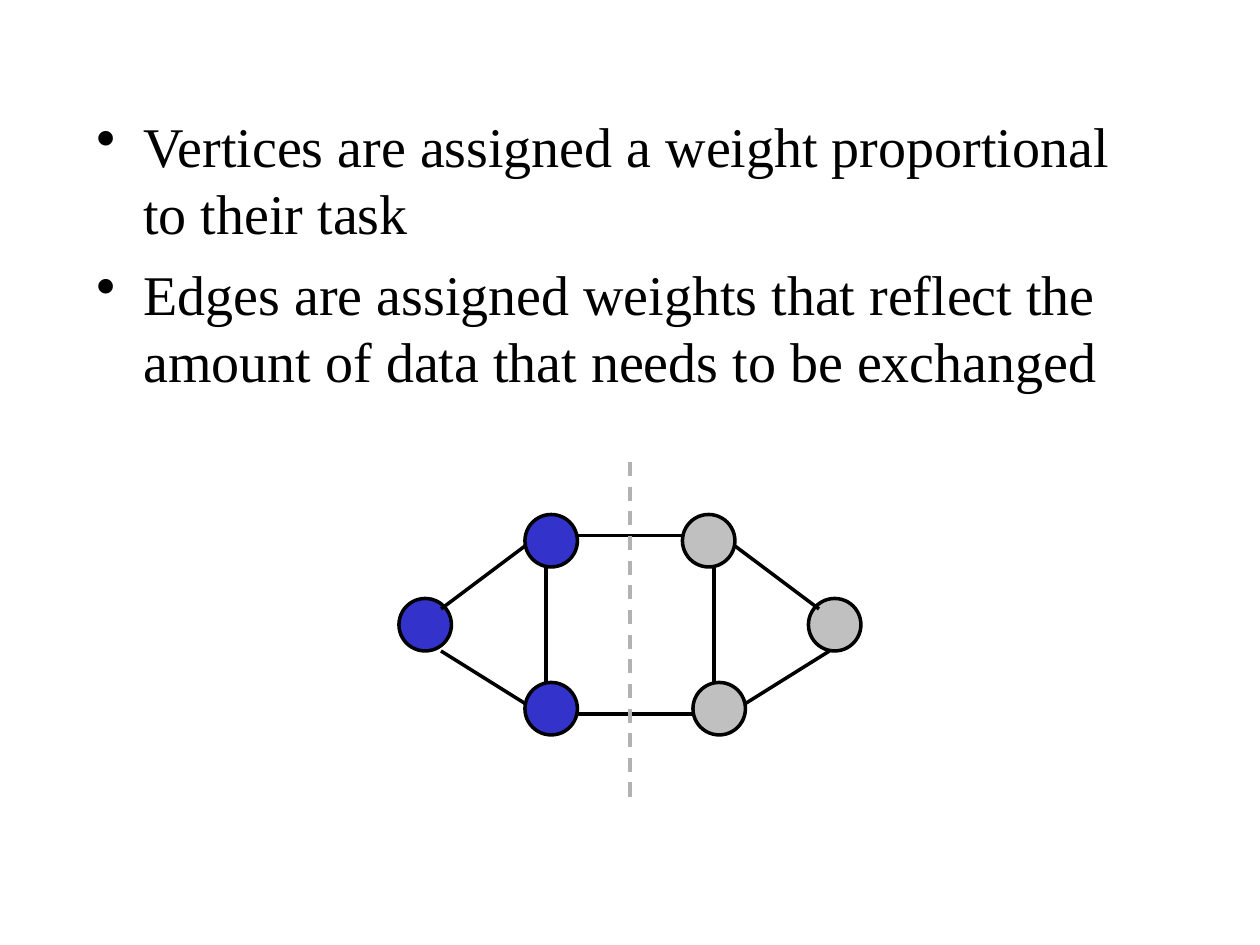
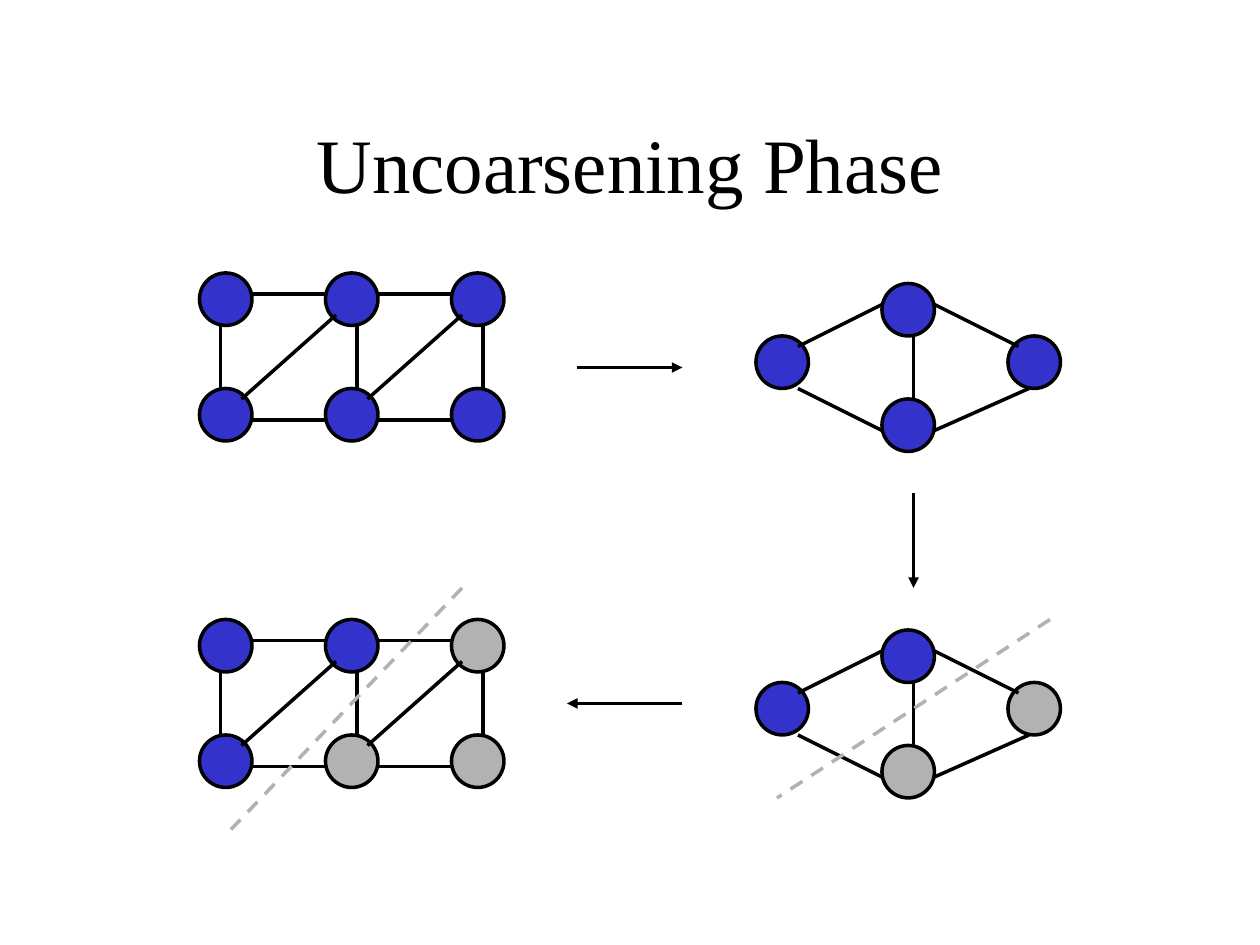
import dataclasses
import lxml.etree
import pptx
import pptx.dml.color
import pptx.enum.dml
import pptx.enum.shapes
import pptx.enum.text
import pptx.oxml
import pptx.oxml.ns
import pptx.util


@dataclasses.dataclass(frozen=True)
class Theme:
    font: str = "Times New Roman"
    title_size: int = 44
    body_size: int = 32
    line_width: int = 2
    ink: str = "000000"
    blue: str = "3333CC"
    silver: str = "C0C0C0"
    gray: str = "B2B2B2"


THEME = Theme()
NODE_SIZE = 5  # grid units
ROW_SHIFT = 33  # from the upper graphs to the lower ones


def grid(units):
    """The drawing sits on a grid of twelve units to 2.54 cm."""
    return pptx.util.Cm(units * 2.54 / 12)


def color(code):
    return pptx.dml.color.RGBColor.from_string(code)


def add_xml(parent, tag, **attributes):
    return lxml.etree.SubElement(parent, pptx.oxml.ns.qn(tag), **attributes)


def write(para, text, *, size, align="LEFT", before=0, bullet=False):
    """Fill one paragraph with text in the given format."""
    para.alignment = getattr(pptx.enum.text.PP_ALIGN, align)
    para.space_before = pptx.util.Pt(before)
    if bullet:
        properties = para._p.get_or_add_pPr()
        indent = pptx.util.Cm(0.95)
        properties.set("marL", str(indent))
        properties.set("indent", str(-indent))
        add_xml(properties, "a:buChar", char="•")
    span = para.add_run()
    span.text = text
    span.font.name = THEME.font
    span.font.size = pptx.util.Pt(size)
    span.font.color.rgb = color(THEME.ink)


class Painter:
    """Holds the style and the slide being drawn."""

    def __init__(self, deck, theme):
        self.deck = deck
        self.theme = theme
        self.slide = None

    def new_slide(self):
        self.slide = self.deck.slides.add_slide(self.deck.slide_layouts[6])

    def text_box(self, left, top, width, height, lines, anchor="TOP", **style):
        box = self.slide.shapes.add_textbox(*map(grid, (left, top, width, height)))
        frame = box.text_frame
        frame.word_wrap = True
        frame.vertical_anchor = getattr(pptx.enum.text.MSO_ANCHOR, anchor)
        for index, line in enumerate(lines):
            para = frame.add_paragraph() if index else frame.paragraphs[0]
            write(para, line, before=8 if index else 0, **style)

    def title(self, text):
        self.text_box(9, 8, 102, 15, [text], anchor="MIDDLE", align="CENTER",
                      size=self.theme.title_size)

    def bullets(self, lines):
        self.text_box(8, 10, 102, 54, lines, bullet=True, size=self.theme.body_size)

    def node(self, shapes, left, top, fill):
        oval = shapes.add_shape(pptx.enum.shapes.MSO_SHAPE.OVAL, grid(left), grid(top),
                                grid(NODE_SIZE), grid(NODE_SIZE))
        oval.shadow.inherit = False
        oval.fill.solid()
        oval.fill.fore_color.rgb = color(fill)
        oval.line.color.rgb = color(self.theme.ink)
        oval.line.width = pptx.util.Pt(self.theme.line_width)

    def line(self, shapes, ends, ink=None, dashed=False, arrow=False):
        connector = shapes.add_connector(pptx.enum.shapes.MSO_CONNECTOR.STRAIGHT,
                                         *map(grid, ends))
        connector.line.color.rgb = color(ink or self.theme.ink)
        connector.line.width = pptx.util.Pt(self.theme.line_width)
        if dashed:
            connector.line.dash_style = pptx.enum.dml.MSO_LINE.DASH
        if arrow:
            add_xml(connector.line._get_or_add_ln(), "a:tailEnd", type="triangle")
        add_xml(connector._element.spPr, "a:effectLst")

    def arrow(self, *ends):
        self.line(self.slide.shapes, ends, arrow=True)

    def graph(self, nodes, edges, fills, origin=(0, 0), cut=None):
        """Draw nodes and edges as one group, with an optional partition line."""
        x, y = origin
        shapes = self.slide.shapes.add_group_shape().shapes
        for (left, top), fill in zip(nodes, fills):
            self.node(shapes, x + left, y + top, fill)
        for x1, y1, x2, y2 in edges:
            self.line(shapes, (x + x1, y + y1, x + x2, y + y2))
        if cut:
            self.line(shapes, cut, ink=self.theme.gray, dashed=True)


# Graph outlines: node corners and edge ends in grid units
HEXAGON_NODES = [(38, 57), (50, 65), (50, 49), (65, 49), (66, 65), (77, 57)]
HEXAGON_EDGES = [
    (55, 51, 65, 51), (55, 68, 66, 68), (42, 58, 50, 52), (42, 62, 50, 67),
    (70, 52, 78, 58), (79, 62, 71, 67), (52, 54, 52, 65), (68, 54, 68, 65),
]
LADDER_NODES = [(column * 12, row * 11) for column in range(3) for row in range(2)]
LADDER_EDGES = [(x, 5, x, 11) for x in (2, 15, 27)]
for step in (0, 12):
    LADDER_EDGES += [(5 + step, y, 12 + step, y) for y in (2, 14)]
    LADDER_EDGES.append((4 + step, 12, 13 + step, 4))
DIAMOND_NODES = [(0, 5), (12, 0), (12, 11), (24, 5)]
DIAMOND_EDGES = [
    (4, 6, 12, 2), (17, 2, 25, 6), (4, 10, 12, 14), (17, 14, 26, 10), (15, 5, 15, 11),
]


def weights_slide(painter):
    painter.new_slide()
    painter.bullets([
        "Vertices are assigned a weight proportional to their task",
        "Edges are assigned weights that reflect the amount of data that needs "
        "to be exchanged",
    ])
    painter.graph(HEXAGON_NODES, HEXAGON_EDGES,
                  [THEME.blue] * 3 + [THEME.silver] * 3, cut=(60, 44, 60, 76))


def uncoarsening_slide(painter):
    painter.new_slide()
    painter.title("Uncoarsening Phase")
    blue, gray = THEME.blue, THEME.gray

    # Whole graphs above, partitioned graphs below
    painter.graph(LADDER_NODES, LADDER_EDGES, [blue] * 6, (19, 26))
    painter.graph(DIAMOND_NODES, DIAMOND_EDGES, [blue] * 4, (72, 27))
    painter.graph(DIAMOND_NODES, DIAMOND_EDGES, [blue] * 2 + [gray] * 2,
                  (72, 27 + ROW_SHIFT), cut=(100, 59, 74, 76))
    painter.graph(LADDER_NODES, LADDER_EDGES, [blue] * 3 + [gray] * 3,
                  (19, 26 + ROW_SHIFT), cut=(44, 56, 22, 79))

    # Order of the phases
    painter.arrow(55, 35, 65, 35)
    painter.arrow(87, 47, 87, 56)
    painter.arrow(65, 67, 54, 67)


def main():
    deck = pptx.Presentation()
    deck.slide_width, deck.slide_height = pptx.util.Cm(25.4), pptx.util.Cm(19.05)
    painter = Painter(deck, THEME)
    weights_slide(painter)
    uncoarsening_slide(painter)
    deck.save("out.pptx")


if __name__ == "__main__":
    main()
